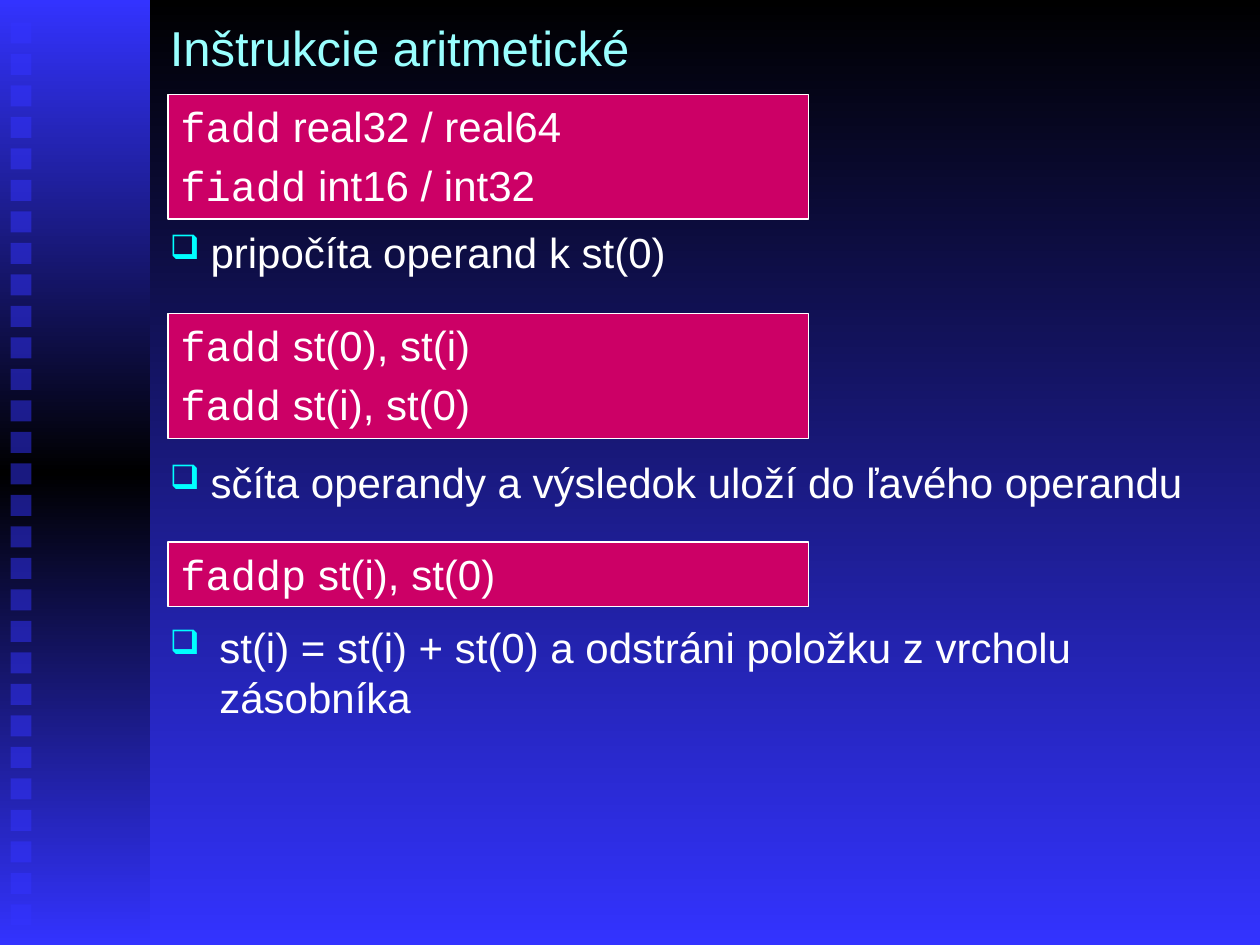
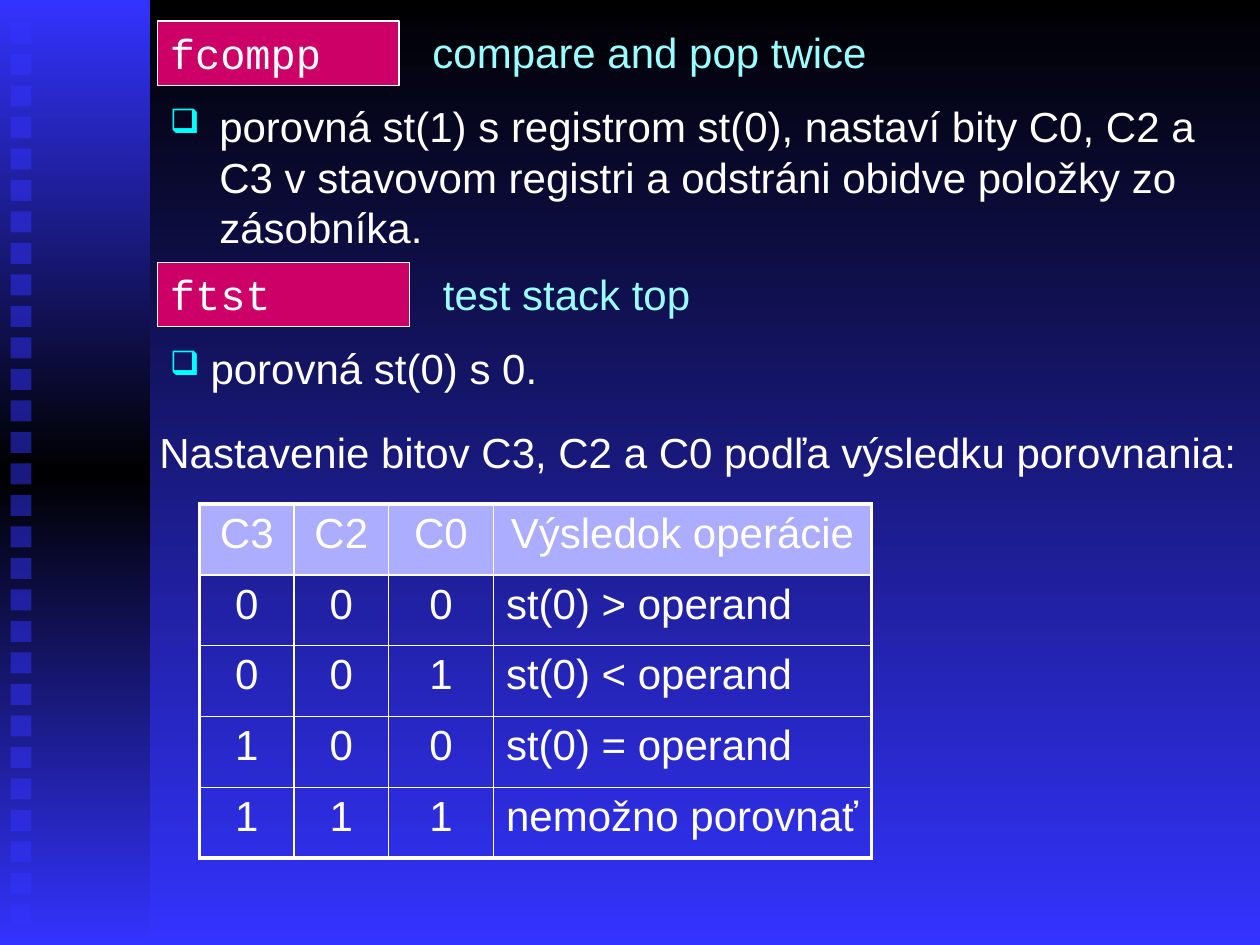
from dataclasses import dataclass
from typing import NamedTuple

from lxml import etree
from pptx import Presentation
from pptx.dml.color import RGBColor
from pptx.enum.shapes import MSO_SHAPE
from pptx.enum.text import MSO_ANCHOR, PP_ALIGN
from pptx.oxml.ns import qn
from pptx.util import Pt

RECT = MSO_SHAPE.RECTANGLE
TOP, MIDDLE = MSO_ANCHOR.TOP, MSO_ANCHOR.MIDDLE
LEFT, CENTER = PP_ALIGN.LEFT, PP_ALIGN.CENTER

COLORS = {
    "black": "000000",
    "blue": "3333FF",
    "white": "FFFFFF",
    "title": "99FFFF",
    "bullet": "00FFFF",
    "code_box": "CC0066",
    "header": "ADADFF",
}
BODY_FONT, CODE_FONT = "Arial", "Courier New"
BODY_SIZE, TITLE_SIZE = 24, 28
SLIDE_W, SLIDE_H = 720, 540
SQUARE_COUNT, SQUARE_STEP = 29, 18
NARROW_INDENT, WIDE_INDENT = 23.25, 28.25
OUTER_LINE, INNER_LINE = 2.25, 1


class Box(NamedTuple):
    left: float
    top: float
    width: float
    height: float


class Instruction(NamedTuple):
    mnemonic: str
    operands: str = ""


@dataclass
class CodeBox:
    box: Box
    lines: list[Instruction]


@dataclass
class Label:
    box: Box
    text: str
    color: str = "white"
    size: float = BODY_SIZE
    indent: float = 0  # a hanging indent also brings a bullet
    anchor: MSO_ANCHOR = TOP


def rgb(name: str) -> RGBColor:
    return RGBColor.from_string(COLORS[name])


def points(box: Box) -> list[Pt]:
    return [Pt(v) for v in box]


def add_color(parent, name: str):
    return etree.SubElement(parent, qn("a:srgbClr"), val=COLORS[name])


def format_run(r, font: str, size: float, color: str) -> None:
    r.font.name = font
    r.font.size = Pt(size)
    r.font.color.rgb = rgb(color)


def set_gradient(owner, fill, names: list[str]) -> None:
    """Fill from top to bottom with evenly spaced colours."""
    fill.gradient()
    fill.gradient_angle = 270
    stops = owner.element.find(".//" + qn("a:gsLst"))
    for old in list(stops):
        stops.remove(old)
    for i, name in enumerate(names):
        pos = 100000 * i // (len(names) - 1)
        add_color(etree.SubElement(stops, qn("a:gs"), pos=str(pos)), name)


def add_rect(s, box: Box):
    sp = s.shapes.add_shape(RECT, *points(box))
    sp.shadow.inherit = False
    sp.line.fill.background()
    return sp


def add_bullet(p, indent: float) -> None:
    pPr = p._p.get_or_add_pPr()
    pPr.set("marL", str(Pt(indent)))
    pPr.set("indent", str(-Pt(indent)))
    add_color(etree.SubElement(pPr, qn("a:buClr")), "bullet")
    etree.SubElement(pPr, qn("a:buSzPct"), val="80000")
    etree.SubElement(pPr, qn("a:buChar"), char="❑")


def add_code_box(s, item: CodeBox) -> None:
    sp = add_rect(s, item.box)
    sp.fill.solid()
    sp.fill.fore_color.rgb = rgb("code_box")
    sp.line.color.rgb = rgb("white")
    sp.line.width = Pt(0.75)
    tf = sp.text_frame
    tf.word_wrap = True
    tf.vertical_anchor = TOP
    for i, line in enumerate(item.lines):
        p = tf.add_paragraph() if i else tf.paragraphs[0]
        p.alignment = LEFT
        if i:
            p.space_before = Pt(4.8)
        p.text = line.mnemonic
        format_run(p.runs[0], CODE_FONT, BODY_SIZE, "white")
        if line.operands:
            r = p.add_run()
            r.text = f" {line.operands}"
            format_run(r, BODY_FONT, BODY_SIZE, "white")


def add_label(s, item: Label) -> None:
    tf = s.shapes.add_textbox(*points(item.box)).text_frame
    tf.word_wrap = True
    tf.vertical_anchor = item.anchor
    tf.text = item.text
    p = tf.paragraphs[0]
    if item.indent:
        add_bullet(p, item.indent)
    format_run(p.runs[0], BODY_FONT, item.size, item.color)


def set_borders(cell, widths: dict[str, float]) -> None:
    tcPr = cell._tc.get_or_add_tcPr()
    for side, width in widths.items():
        ln = etree.SubElement(tcPr, qn(f"a:ln{side}"), w=str(Pt(width)))
        add_color(etree.SubElement(ln, qn("a:solidFill")), "white")


def add_flag_table(s, box: Box, widths: list[float], rows: list[list[str]]) -> None:
    table = s.shapes.add_table(len(rows), len(widths), *points(box)).table
    table.horz_banding = False
    last_row, last_col = len(rows) - 1, len(widths) - 1
    for column, width in zip(table.columns, widths):
        column.width = Pt(width)
    for i, row in enumerate(rows):
        for j, text in enumerate(row):
            cell = table.cell(i, j)
            edges = {"L": j == 0, "R": j == last_col, "T": i == 0, "B": i == last_row}
            set_borders(cell, {side: OUTER_LINE if outer else INNER_LINE
                               for side, outer in edges.items()})
            if i == 0:
                cell.fill.solid()
                cell.fill.fore_color.rgb = rgb("header")
            else:
                cell.fill.background()
            cell.text = text
            p = cell.text_frame.paragraphs[0]
            p.alignment = LEFT if i and j == last_col else CENTER
            format_run(p.runs[0], BODY_FONT, BODY_SIZE, "white")
            p.runs[0].font.bold = False


def add_base_slide(prs):
    """Blank slide with the background, side band and column of squares."""
    s = prs.slides.add_slide(prs.slide_layouts[6])
    set_gradient(s, s.background.fill, ["black", "blue"])
    band = add_rect(s, Box(0, 0, 85.75, SLIDE_H))
    set_gradient(band, band.fill, ["blue", "black", "blue"])
    for i in range(SQUARE_COUNT):
        square = add_rect(s, Box(6, 12.75 + i * SQUARE_STEP, 12, 12))
        square.fill.solid()
        square.fill.fore_color.rgb = rgb("blue")
        clr = square.element.spPr.find(".//" + qn("a:srgbClr"))
        etree.SubElement(clr, qn("a:alpha"), val="50000")
    return s


def add_items(s, items: list[CodeBox | Label]) -> None:
    for item in items:
        if isinstance(item, CodeBox):
            add_code_box(s, item)
        else:
            add_label(s, item)


ARITHMETIC = [
    Label(Box(90, 0, 612, 54), "Inštrukcie aritmetické", "title", TITLE_SIZE, anchor=MIDDLE),
    CodeBox(Box(96, 54, 366, 71.25), [Instruction("fadd", "real32 / real64"),
                                      Instruction("fiadd", "int16 / int32")]),
    Label(Box(90, 126, 588, 36), "pripočíta operand k st(0)", indent=NARROW_INDENT),
    CodeBox(Box(96, 179.25, 366, 71.25), [Instruction("fadd", "st(0), st(i)"),
                                          Instruction("fadd", "st(i), st(0)")]),
    Label(Box(90, 257.25, 630, 36.75), "sčíta operandy a výsledok uloží do ľavého operandu",
          indent=NARROW_INDENT),
    CodeBox(Box(96, 309.75, 366, 36.75), [Instruction("faddp", "st(i), st(0)")]),
    Label(Box(90, 351.5, 630, 65.5),
          "st(i) = st(i) + st(0) a odstráni položku z vrcholu zásobníka", indent=WIDE_INDENT),
]

COMPARISON = [
    CodeBox(Box(90, 12, 138, 36.75), [Instruction("fcompp")]),
    Label(Box(240, 11.75, 270, 36), "compare and pop twice", "title"),
    Label(Box(90, 54, 612, 94),
          "porovná st(1) s registrom st(0), nastaví bity C0, C2 a C3 v stavovom registri "
          "a odstráni obidve položky zo zásobníka.", indent=WIDE_INDENT),
    CodeBox(Box(90, 150, 144, 36.75), [Instruction("ftst")]),
    Label(Box(246, 150, 168, 36), "test stack top", "title"),
    Label(Box(90, 192, 612, 36), "porovná st(0) s 0.", indent=NARROW_INDENT),
    Label(Box(84, 240, 636, 36), "Nastavenie bitov C3, C2 a C0 podľa výsledku porovnania:"),
]

FLAG_ROWS = [
    ["C3", "C2", "C0", "Výsledok operácie"],
    ["0", "0", "0", "st(0) > operand"],
    ["0", "0", "1", "st(0) < operand"],
    ["1", "0", "0", "st(0) = operand"],
    ["1", "1", "1", "nemožno porovnať"],
]


def main() -> None:
    prs = Presentation()
    prs.slide_width, prs.slide_height = Pt(SLIDE_W), Pt(SLIDE_H)

    # Arithmetic instructions
    add_items(add_base_slide(prs), ARITHMETIC)

    # Comparison instructions and resulting flags
    s = add_base_slide(prs)
    add_items(s, COMPARISON)
    add_flag_table(s, Box(114, 288, 384, 202.5), [54, 54, 60, 216], FLAG_ROWS)

    prs.save("out.pptx")


if __name__ == "__main__":
    main()
